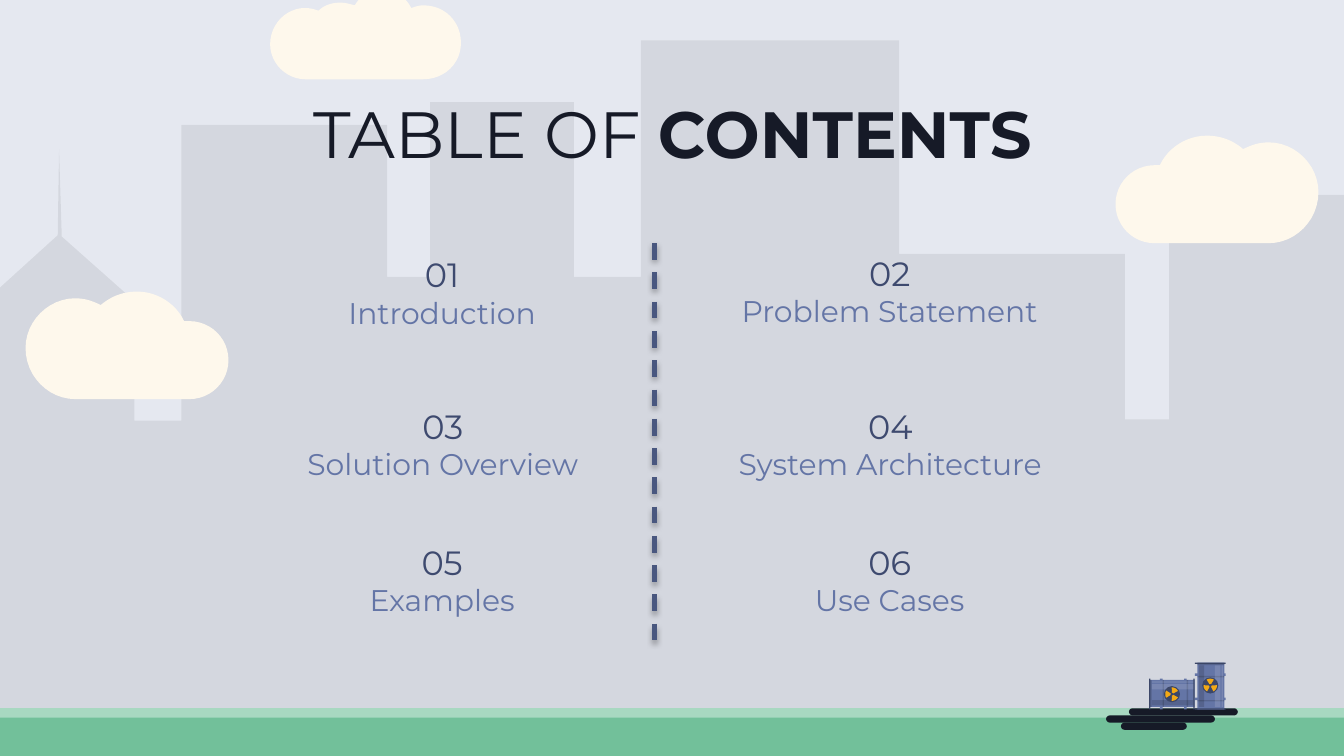
from dataclasses import dataclass
from math import cos, radians, sin

from lxml.etree import SubElement
from pptx import Presentation
from pptx.dml.color import RGBColor
from pptx.enum.dml import MSO_LINE
from pptx.enum.shapes import MSO_CONNECTOR, MSO_SHAPE
from pptx.enum.text import MSO_ANCHOR, PP_ALIGN
from pptx.oxml.ns import qn
from pptx.util import Inches, Pt


@dataclass(frozen=True)
class Theme:
    """Colours, font and type sizes of the slide."""
    sky: str = "E5E8F0"
    cloud: str = "FEF8EC"
    grass_light: str = "A8D8C1"
    grass: str = "72C09A"
    ink: str = "161A27"
    number: str = "3E4A6F"
    topic: str = "6475A6"
    divider: str = "49577F"
    steel: str = "6475A6"
    navy: str = "3C4768"
    amber: str = "F3A916"
    black: str = "000000"
    white: str = "FFFFFF"
    font: str = "Montserrat"
    title_size: int = 35
    number_size: int = 18
    topic_size: int = 16


THEME = Theme()
SLIDE_WIDTH = 10
SLIDE_HEIGHT = SLIDE_WIDTH * 9 / 16

SKYLINE = [
    (0, 2.14), (0.43, 1.75), (0.44, 1.11), (0.46, 1.76), (1, 2.24), (1, 3.13),
    (1.35, 3.13), (1.35, 0.93), (2.88, 0.93), (2.88, 2.06), (3.2, 2.06),
    (3.2, 0.76), (4.27, 0.76), (4.27, 2.06), (4.77, 2.06), (4.77, 0.3),
    (6.69, 0.3), (6.69, 1.89), (8.37, 1.89), (8.37, 3.12), (8.7, 3.12),
    (8.7, 1.45), (10, 1.45), (10, 5.39), (0, 5.39),
]
WIDE_CLOUD = [
    (0.68, 0), (0.53, 0, 0.39, 0.09, 0.33, 0.22),
    (0.31, 0.22, 0.3, 0.22, 0.29, 0.22), (0.13, 0.22, 0, 0.35, 0, 0.51),
    (0, 0.67, 0.13, 0.8, 0.29, 0.8), (1.14, 0.8),
    (1.34, 0.8, 1.51, 0.63, 1.51, 0.42), (1.51, 0.22, 1.34, 0.05, 1.14, 0.05),
    (1.07, 0.05, 1.01, 0.07, 0.95, 0.1), (0.88, 0.04, 0.79, 0, 0.68, 0),
]
PUFFY_CLOUD = [
    (0.83, 0), (0.74, 0, 0.67, 0.05, 0.63, 0.12),
    (0.59, 0.11, 0.56, 0.1, 0.52, 0.1), (0.46, 0.1, 0.4, 0.12, 0.36, 0.16),
    (0.33, 0.15, 0.3, 0.14, 0.26, 0.14), (0.12, 0.14, 0, 0.26, 0, 0.41),
    (0, 0.55, 0.12, 0.67, 0.26, 0.67), (1.14, 0.67),
    (1.3, 0.67, 1.42, 0.55, 1.42, 0.4), (1.42, 0.24, 1.3, 0.12, 1.14, 0.12),
    (1.11, 0.12, 1.08, 0.13, 1.05, 0.14), (1.01, 0.06, 0.93, 0, 0.83, 0),
]
TOPICS = [
    ("01", "Introduction", (1.97, 1.79, 2.64, 0.8)),
    ("02", "Problem Statement", (5.12, 1.78, 3, 0.8)),
    ("03", "Solution Overview", (1.76, 2.92, 3.07, 0.8)),
    ("04", "System Architecture", (4.99, 2.92, 3.27, 0.8)),
    ("05", "Examples", (1.97, 3.93, 2.64, 0.8)),
    ("06", "Use Cases", (5.3, 3.93, 2.64, 0.8)),
]


def paint(shape, color, opacity=100):
    """Give a shape a flat fill without line or shadow."""
    shape.shadow.inherit = False
    shape.line.fill.background()
    shape.fill.solid()
    shape.fill.fore_color.rgb = RGBColor.from_string(color)
    if opacity < 100:
        tint = shape.fill._xPr.find(qn("a:solidFill"))[0]
        SubElement(tint, qn("a:alpha")).set("val", str(opacity * 1000))


def add_block(slide, box, color, opacity=100, kind=MSO_SHAPE.RECTANGLE):
    """Add a filled preset shape."""
    block = slide.shapes.add_shape(kind, *map(Inches, box))
    paint(block, color, opacity)
    return block


def add_outline(slide, points, color, opacity=100):
    """Add a filled polygon through points in inches."""
    corners = [(Inches(x), Inches(y)) for x, y in points]
    builder = slide.shapes.build_freeform(*corners[0])
    builder.add_line_segments(corners[1:])
    paint(builder.convert_to_shape(), color, opacity)


def add_run(paragraph, text, *, size, color, bold=False):
    """Append formatted text to a paragraph."""
    run = paragraph.add_run()
    run.text = text
    run.font.name = THEME.font
    run.font.size = Pt(size)
    run.font.bold = bold
    run.font.color.rgb = RGBColor.from_string(color)


def add_centered_paragraph(slide, box):
    """Add a wrapping text box and return its centred paragraph."""
    frame = slide.shapes.add_textbox(*map(Inches, box)).text_frame
    frame.word_wrap = True
    frame.vertical_anchor = MSO_ANCHOR.TOP
    frame.margin_left = frame.margin_right = Inches(0.1)
    frame.margin_top = frame.margin_bottom = Inches(0.1)
    paragraph = frame.paragraphs[0]
    paragraph.alignment = PP_ALIGN.CENTER
    return paragraph


def trace(segments, steps=12):
    """Turn line ends and cubic curves into polygon points."""
    points = [segments[0]]
    for segment in segments[1:]:
        if len(segment) == 2:
            points.append(segment)
            continue
        x0, y0 = points[-1]
        x1, y1, x2, y2, x3, y3 = segment
        for step in range(1, steps + 1):
            t = step / steps
            a, b, c, d = (1 - t) ** 3, 3 * t * (1 - t) ** 2, 3 * t * t * (1 - t), t ** 3
            points.append((a * x0 + b * x1 + c * x2 + d * x3,
                           a * y0 + b * y1 + c * y2 + d * y3))
    return points


def draw_cloud(slide, box, segments, mirrored=False):
    """Draw a cloud in its box, optionally facing the other way."""
    left, top, width, _ = box
    add_outline(slide, [(left + (width - x if mirrored else x), top + y)
                        for x, y in trace(segments)], THEME.cloud)


def draw_ground(slide, box):
    """Draw the grass with its light upper edge."""
    left, top, width, height = box
    edge = 0.07
    add_block(slide, box, THEME.grass_light)
    add_block(slide, (left, top + edge, width, height - edge), THEME.grass)


def draw_spill(slide, box):
    """Draw the oil spill as three rounded streaks."""
    left, top, width, height = box
    streak = height / 3
    for row, (start, length) in enumerate([(0.17, 0.81), (0, 0.81), (0.11, 0.49)]):
        pill = add_block(slide, (left + start, top + row * streak, length, streak),
                         THEME.ink, kind=MSO_SHAPE.ROUNDED_RECTANGLE)
        pill.adjustments[0] = 0.5


def draw_drum(slide, box, lying=False):
    """Draw a barrel standing up, or lying with its lid to the left."""
    left, top, width, height = box

    def turn(u, v, w=0, h=0):
        """Place a part of the standing barrel on the slide."""
        if lying:
            return left + v, top + height - u - w, h, w
        return left + u, top + v, w, h

    across = height if lying else width
    along = width if lying else height
    hoops = (0.08, 0.26)
    parts = [
        ((0.02, 0, 0.2, along), THEME.steel, 100),
        ((0, along - 0.01, across, 0.01), THEME.navy, 100),
        ((0, 0, across, 0.01), THEME.navy, 100),
        ((0.02, 0.01, 0.2, 0.01), THEME.black, 15),
        *[((0, hoop, across, 0.02), THEME.steel, 100) for hoop in hoops],
        *[((0.02, hoop + 0.02, 0.2, 0.01), THEME.black, 15) for hoop in hoops],
        ((0.03, 0.02, 0.04, 0.31), THEME.black, 15),
        ((0.15, 0.02, 0.04, 0.31), THEME.white, 13),
        ((0.2, 0.02, 0.01, 0.31), THEME.white, 13),
    ]
    for part, color, opacity in parts:
        add_block(slide, turn(*part), color, opacity)

    hub_u, hub_v, blade = across / 2, 0.17, 0.05

    def add_disc(radius, color):
        """Add a disc around the hub of the warning sign."""
        add_block(slide, turn(hub_u - radius, hub_v - radius, 2 * radius, 2 * radius),
                  color, kind=MSO_SHAPE.OVAL)

    add_disc(0.06, THEME.navy)
    for middle in (-90, 30, 150):
        rim = [(hub_u + blade * cos(radians(middle + offset)),
                hub_v + blade * sin(radians(middle + offset)))
               for offset in range(-32, 33, 8)]
        add_outline(slide, [turn(u, v)[:2] for u, v in [(hub_u, hub_v), *rim]], THEME.amber)
    add_disc(0.01, THEME.navy)


def draw_title(slide, box):
    """Write the slide title."""
    title = add_centered_paragraph(slide, box)
    add_run(title, "TABLE OF ", size=THEME.title_size, color=THEME.ink)
    add_run(title, "CONTENTS", size=THEME.title_size, color=THEME.ink, bold=True)


def draw_topic(slide, box, number, topic):
    """Write one numbered topic."""
    entry = add_centered_paragraph(slide, box)
    add_run(entry, number, size=THEME.number_size, color=THEME.number)
    entry.add_line_break()
    add_run(entry, topic, size=THEME.topic_size, color=THEME.topic)


def draw_divider(slide, box):
    """Draw the dashed line with its soft shadow between the columns."""
    left, top, width, height = map(Inches, box)
    divider = slide.shapes.add_connector(MSO_CONNECTOR.STRAIGHT, left, top,
                                         left + width, top + height)
    divider.line.color.rgb = RGBColor.from_string(THEME.divider)
    divider.line.width = Pt(2.25)
    divider.line.dash_style = MSO_LINE.DASH
    effects = SubElement(divider._element.spPr, qn("a:effectLst"))
    shadow = SubElement(effects, qn("a:outerShdw"), blurRad=str(Pt(3.1)),
                        dist=str(Pt(1.8)), dir="5400000", rotWithShape="0")
    tint = SubElement(shadow, qn("a:srgbClr"), val=THEME.black)
    SubElement(tint, qn("a:alpha"), val="35000")


def main():
    """Build and save the contents slide."""
    deck = Presentation()
    deck.slide_width, deck.slide_height = Inches(SLIDE_WIDTH), Inches(SLIDE_HEIGHT)
    slide = deck.slides.add_slide(deck.slide_layouts[6])
    slide.background.fill.solid()
    slide.background.fill.fore_color.rgb = RGBColor.from_string(THEME.sky)

    add_outline(slide, SKYLINE, THEME.black, 7)
    draw_cloud(slide, (2.01, -0.08, 1.42, 0.67), PUFFY_CLOUD)
    draw_ground(slide, (0, 5.27, SLIDE_WIDTH, SLIDE_HEIGHT - 5.27))
    draw_title(slide, (0.79, 0.59, 8.43, 0.74))
    draw_spill(slide, (8.23, 5.27, 0.98, 0.16))
    draw_drum(slide, (8.89, 4.93, 0.23, 0.35))
    draw_drum(slide, (8.55, 5.05, 0.34, 0.23), lying=True)
    draw_cloud(slide, (8.3, 1.01, 1.51, 0.8), WIDE_CLOUD)
    draw_cloud(slide, (0.19, 2.17, 1.51, 0.8), WIDE_CLOUD, mirrored=True)
    for number, topic, box in TOPICS:
        draw_topic(slide, box, number, topic)
    draw_divider(slide, (4.87, 1.81, 0, 3))
    deck.save("out.pptx")


if __name__ == "__main__":
    main()
